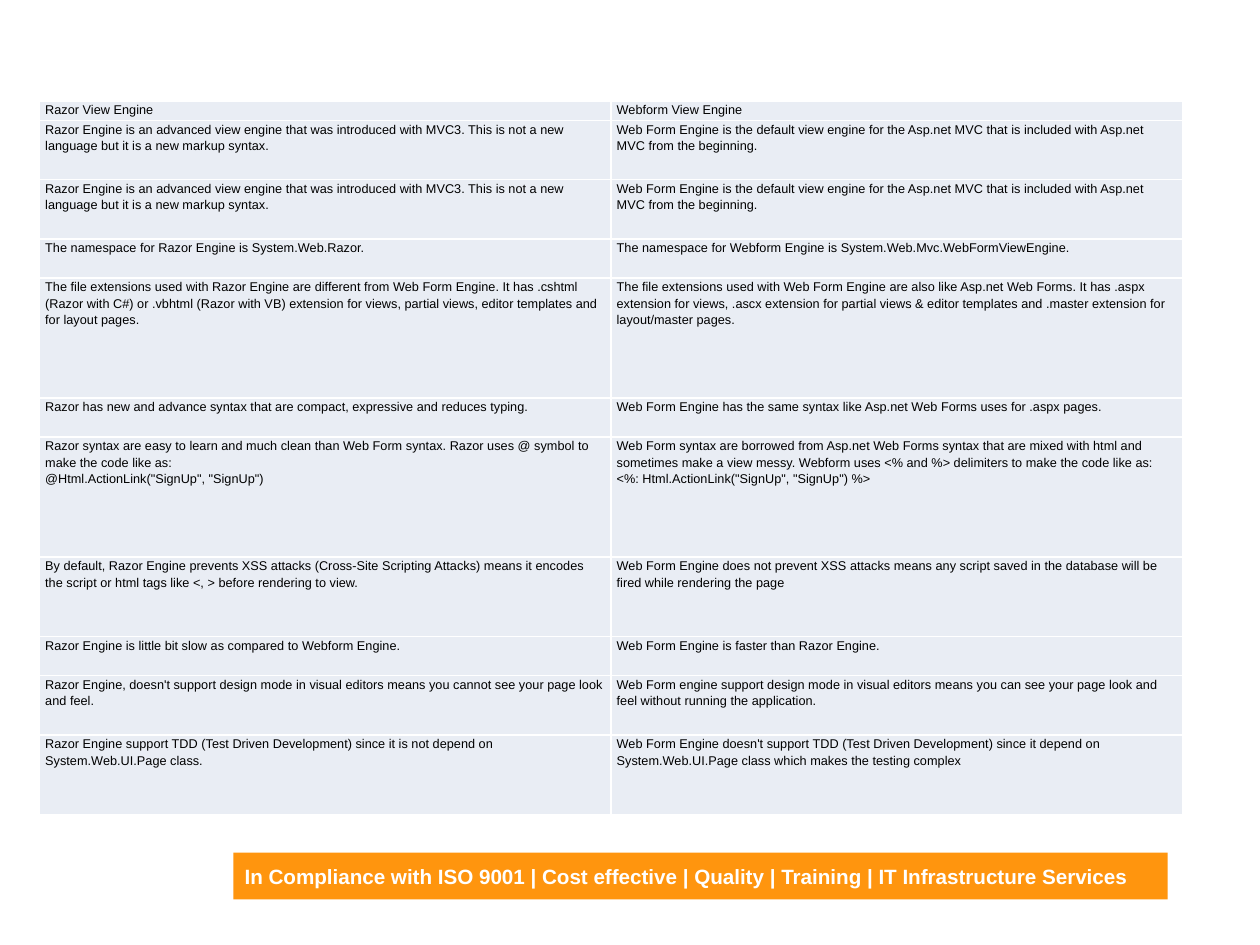
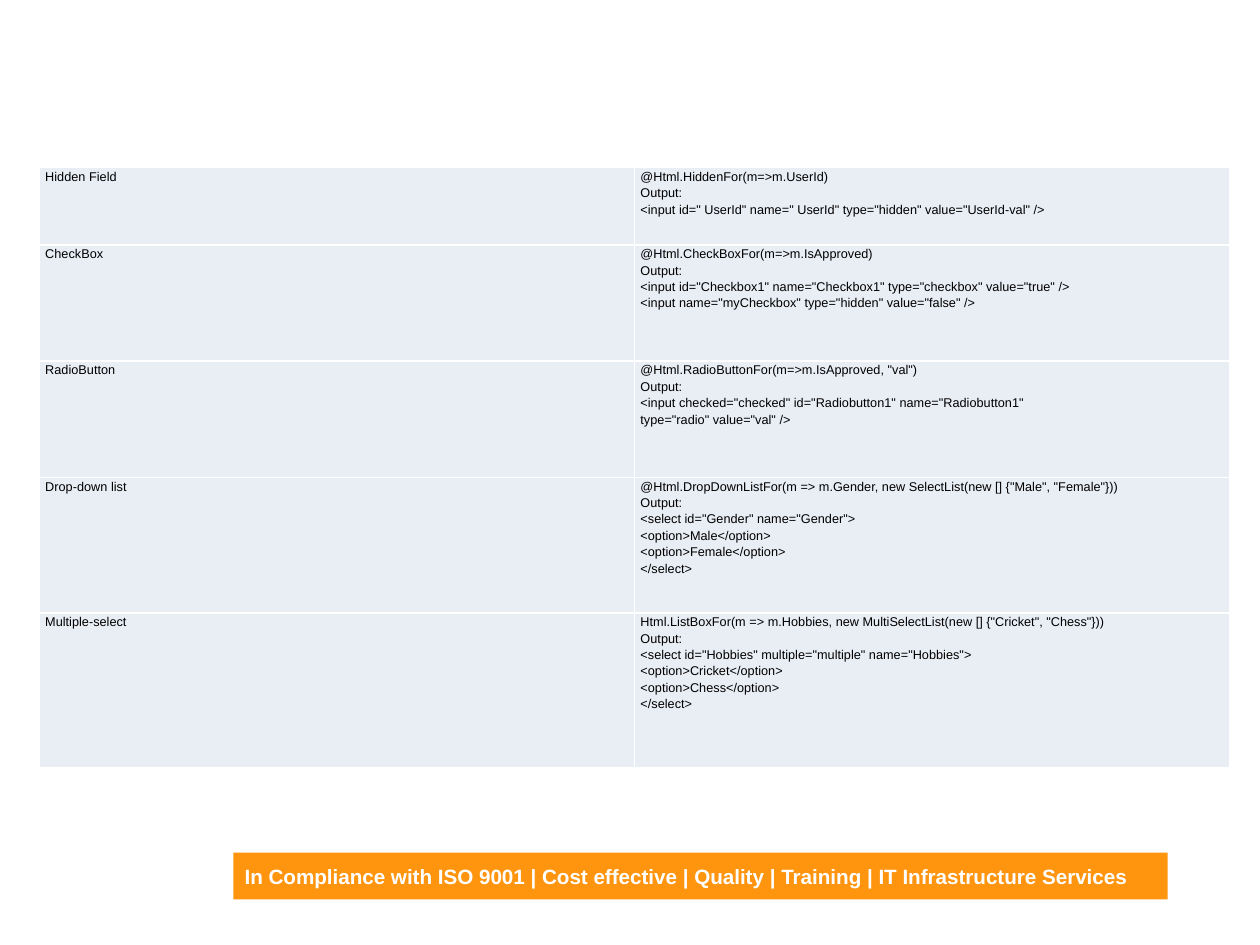
from dataclasses import dataclass

from lxml.etree import SubElement
from pptx import Presentation
from pptx.dml.color import RGBColor
from pptx.enum.shapes import MSO_SHAPE
from pptx.enum.text import MSO_ANCHOR, PP_ALIGN
from pptx.oxml.ns import qn
from pptx.util import Pt


@dataclass(frozen=True)
class Theme:
    font: str = "Arial"
    text: str = "000000"
    light: str = "FFFFFF"
    cell: str = "E9EDF4"
    band: str = "FF950E"
    cell_size: float = 8
    band_size: float = 13
    line_spacing: float = 1.15
    border: float = 1


THEME = Theme()
LEFT = 24.9
SLOGAN = ("In Compliance with ISO 9001 | Cost effective | Quality | Training"
          " | IT Infrastructure Services")

ENGINE_INTRO = (
    37.4,
    "Razor Engine is an advanced view engine that was introduced with MVC3. "
    "This is not a new language but it is a new markup syntax.",
    "Web Form Engine is the default view engine for the Asp.net MVC that is "
    "included with Asp.net MVC from the beginning.",
)

# Each row: height in points, left cell, right cell
ENGINE_ROWS = [
    (12.2, "Razor View Engine", "Webform View Engine"),
    ENGINE_INTRO,
    ENGINE_INTRO,
    (24.6, "The namespace for Razor Engine is System.Web.Razor.",
     "The namespace for Webform Engine is System.Web.Mvc.WebFormViewEngine."),
    (75.6, "The file extensions used with Razor Engine are different from Web Form "
           "Engine. It has .cshtml (Razor with C#) or .vbhtml (Razor with VB) "
           "extension for views, partial views, editor templates and for layout "
           "pages.",
     "The file extensions used with Web Form Engine are also like Asp.net Web "
     "Forms. It has .aspx extension for views, .ascx extension for partial views "
     "& editor templates and .master extension for layout/master pages."),
    (24.6, "Razor has new and advance syntax that are compact, expressive and "
           "reduces typing.",
     "Web Form Engine has the same syntax like Asp.net Web Forms uses for "
     ".aspx pages."),
    (75.6, "Razor syntax are easy to learn and much clean than Web Form syntax. "
           "Razor uses @ symbol to make the code like as:\n"
           '@Html.ActionLink("SignUp", "SignUp")',
     "Web Form syntax are borrowed from Asp.net Web Forms syntax that are mixed "
     "with html and sometimes make a view messy. Webform uses <% and %> "
     "delimiters to make the code like as:\n"
     '<%: Html.ActionLink("SignUp", "SignUp") %>'),
    (50.1, "By default, Razor Engine prevents XSS attacks (Cross-Site Scripting "
           "Attacks) means it encodes the script or html tags like <, > before "
           "rendering to view.",
     "Web Form Engine does not prevent XSS attacks means any script saved in "
     "the database will be fired while rendering the page"),
    (24.6, "Razor Engine is little bit slow as compared to Webform Engine.",
     "Web Form Engine is faster than Razor Engine."),
    (37.4, "Razor Engine, doesn't support design mode in visual editors means you "
           "cannot see your page look and feel.",
     "Web Form engine support design mode in visual editors means you can see "
     "your page look and feel without running the application."),
    (50.1, "Razor Engine support TDD (Test Driven Development) since it is not "
           "depend on System.Web.UI.Page class.",
     "Web Form Engine doesn't support TDD (Test Driven Development) since it "
     "depend on System.Web.UI.Page class which makes the testing complex"),
]

HELPER_ROWS = [
    (48.8, "Hidden Field", """@Html.HiddenFor(m=>m.UserId)
Output:
<input id=" UserId" name=" UserId" type="hidden" value="UserId-val" />"""),
    (73.2, "CheckBox", """@Html.CheckBoxFor(m=>m.IsApproved)
Output:
<input id="Checkbox1" name="Checkbox1" type="checkbox" value="true" />
<input name="myCheckbox" type="hidden" value="false" />"""),
    (73.2, "RadioButton", """@Html.RadioButtonFor(m=>m.IsApproved, "val")
Output:
<input checked="checked" id="Radiobutton1" name="Radiobutton1"
type="radio" value="val" />"""),
    (85.4, "Drop-down list", """\
@Html.DropDownListFor(m => m.Gender, new SelectList(new [] {"Male", "Female"}))
Output:
<select id="Gender" name="Gender">
<option>Male</option>
<option>Female</option>
</select>"""),
    (97.6, "Multiple-select", """\
Html.ListBoxFor(m => m.Hobbies, new MultiSelectList(new [] {"Cricket", "Chess"}))
Output:
<select id="Hobbies" multiple="multiple" name="Hobbies">
<option>Cricket</option>
<option>Chess</option>
</select>"""),
]


def set_attributes(obj, values):
    for name, value in values.items():
        setattr(obj, name, value)


def set_fill(fill, color):
    fill.solid()
    fill.fore_color.rgb = RGBColor.from_string(color)


def write_text(tf, text, size, color, bold=False, spacing=1.0):
    tf.text = text
    for p in tf.paragraphs:
        set_attributes(p, {"alignment": PP_ALIGN.LEFT, "line_spacing": spacing})
        for r in p.runs:
            set_attributes(r.font, {"name": THEME.font, "size": Pt(size), "bold": bold})
            r.font.color.rgb = RGBColor.from_string(color)


def set_borders(cell):
    tc_pr = cell._tc.get_or_add_tcPr()
    for side in ("a:lnL", "a:lnR", "a:lnT", "a:lnB"):
        ln = SubElement(tc_pr, qn(side), w=str(Pt(THEME.border)))
        fill = SubElement(ln, qn("a:solidFill"))
        SubElement(fill, qn("a:srgbClr"), val=THEME.light)


def format_cell(cell, text):
    set_attributes(cell, {
        "margin_left": Pt(3.6), "margin_right": Pt(3.6),
        "margin_top": 0, "margin_bottom": 0,
        "vertical_anchor": MSO_ANCHOR.TOP,
    })
    set_borders(cell)
    set_fill(cell.fill, THEME.cell)
    write_text(cell.text_frame, text, THEME.cell_size, THEME.text,
               spacing=THEME.line_spacing)


def add_two_column_table(s, rows, top, width):
    height = sum(row_height for row_height, *_ in rows)
    table = s.shapes.add_table(len(rows), 2, Pt(LEFT), Pt(top),
                               Pt(width), Pt(height)).table
    set_attributes(table, {"first_row": False, "horz_banding": False})
    for row, (row_height, *texts) in zip(table.rows, rows):
        row.height = Pt(row_height)
        for cell, text in zip(row.cells, texts):
            format_cell(cell, text)


def add_master_band(prs, s):
    """Draw the slogan band on a slide, then move it to the slide master."""
    sp = s.shapes.add_shape(MSO_SHAPE.RECTANGLE, Pt(147), Pt(537),
                            Pt(588.6), Pt(29.5))
    sp.shadow.inherit = False
    set_fill(sp.fill, THEME.band)
    sp.line.fill.background()
    tf = sp.text_frame
    set_attributes(tf, {"word_wrap": True, "vertical_anchor": MSO_ANCHOR.MIDDLE})
    write_text(tf, SLOGAN, THEME.band_size, THEME.light, bold=True)
    master_shapes = prs.slide_master.shapes
    next_id = max(shape.shape_id for shape in master_shapes) + 1
    sp.element.nvSpPr.cNvPr.set("id", str(next_id))
    master_shapes.element.append(sp.element)


def main():
    prs = Presentation()
    set_attributes(prs, {"slide_width": Pt(793.75), "slide_height": Pt(595.25)})
    blank = prs.slide_layouts[6]

    engines = prs.slides.add_slide(blank)
    add_master_band(prs, engines)
    add_two_column_table(engines, ENGINE_ROWS, top=63.6, width=720)

    helpers = prs.slides.add_slide(blank)
    add_two_column_table(helpers, HELPER_ROWS, top=105.5, width=750)

    prs.save("out.pptx")


if __name__ == "__main__":
    main()
